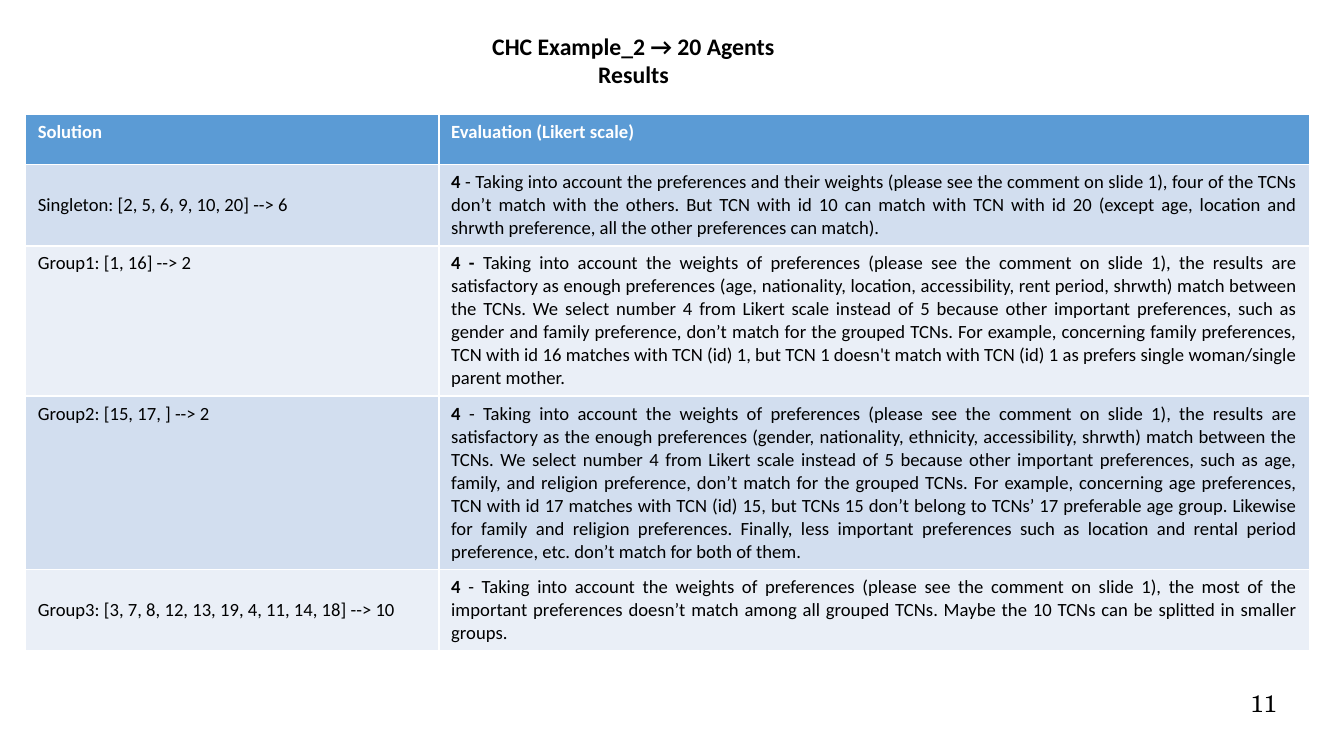
from dataclasses import dataclass

from pptx import Presentation
from pptx.dml.color import RGBColor
from pptx.enum import text as t
from pptx.util import Inches, Pt

TITLE = ["CHC Example_2 → 20 Agents", "Results"]
PAGE_NUMBER = "11"
HEADERS = ["Solution", "Evaluation (Likert scale)"]

# Solution, bold score, evaluation, row height, solution is centred vertically
RESULTS = [
    ("Singleton: [2, 5, 6, 9, 10, 20] --> 6", "4",
     " - Taking into account the preferences and their weights (please see the comment on slide 1), "
     "four of the TCNs don’t match with the others. But TCN with id 10 can match with TCN with id 20 "
     "(except age, location and shrwth preference, all the other preferences can match).",
     0.65, True),
    ("Group1: [1, 16] --> 2", "4 - ",
     "Taking into account the weights of preferences (please see the comment on slide 1), the results "
     "are satisfactory as enough preferences (age, nationality, location, accessibility, rent period, "
     "shrwth) match between the TCNs. We select number 4 from Likert scale instead of 5 because other "
     "important preferences, such as gender and family preference, don’t match for the grouped TCNs. "
     "For example, concerning family preferences, TCN with id 16 matches with TCN (id) 1, but TCN 1 "
     "doesn't match with TCN (id) 1 as prefers single woman/single parent mother.",
     1.2, False),
    ("Group2: [15, 17, ] --> 2", "4 ",
     "- Taking into account the weights of preferences (please see the comment on slide 1), the results "
     "are satisfactory as the enough preferences (gender, nationality, ethnicity, accessibility, shrwth) "
     "match between the TCNs. We select number 4 from Likert scale instead of 5 because other important "
     "preferences, such as age, family, and religion preference, don’t match for the grouped TCNs. "
     "For example, concerning age preferences, TCN with id 17 matches with TCN (id) 15, but TCNs 15 "
     "don’t belong to TCNs’ 17 preferable age group. Likewise for family and religion preferences. "
     "Finally, less important preferences such as location and rental period preference, etc. don’t "
     "match for both of them.",
     1.38, False),
    ("Group3: [3, 7, 8, 12, 13, 19, 4, 11, 14, 18] --> 10", "4",
     " - Taking into account the weights of preferences (please see the comment on slide 1), the most "
     "of the important preferences doesn’t match among all grouped TCNs. Maybe the 10 TCNs can be "
     "splitted in smaller groups.",
     0.65, True),
]

COLUMN_WIDTHS = [3.39, 7.14]
HEADER_HEIGHT = 0.41


@dataclass(frozen=True)
class Theme:
    font: str = "Calibri"
    number_font: str = "TeX Gyre Schola"
    heading_size: int = 14
    body_size: int = 11
    ink: str = "000000"
    header_ink: str = "FFFFFF"
    header_fill: str = "5B9BD5"
    bands: tuple = ("D2DEEF", "EAEFF7")


THEME = Theme()


def add_text(paragraph, words, font=THEME.font, size=THEME.body_size,
             color=THEME.ink, bold=False, align=t.PP_ALIGN.LEFT):
    paragraph.alignment = align
    run = paragraph.add_run()
    run.text = words
    run.font.name = font
    run.font.size = Pt(size)
    run.font.bold = bold
    run.font.color.rgb = RGBColor.from_string(color)


def fill_cell(cell, color):
    cell.fill.solid()
    cell.fill.fore_color.rgb = RGBColor.from_string(color)


def add_title(slide):
    title = slide.shapes.title
    title.left, title.top = Inches(3.46), Inches(0.21)
    title.width, title.height = Inches(3.47), Inches(0.58)
    frame = title.text_frame
    frame.word_wrap = True
    frame.auto_size = t.MSO_AUTO_SIZE.NONE
    frame.vertical_anchor = t.MSO_ANCHOR.TOP
    for index, line in enumerate(TITLE):
        paragraph = frame.add_paragraph() if index else frame.paragraphs[0]
        add_text(paragraph, line, size=THEME.heading_size, bold=True, align=t.PP_ALIGN.CENTER)


def add_results(slide):
    heights = [HEADER_HEIGHT] + [result[3] for result in RESULTS]
    table = slide.shapes.add_table(
        len(heights), len(COLUMN_WIDTHS), Inches(0.21), Inches(0.94),
        Inches(sum(COLUMN_WIDTHS)), Inches(sum(heights))).table
    for column, width in zip(table.columns, COLUMN_WIDTHS):
        column.width = Inches(width)
    for row, height in zip(table.rows, heights):
        row.height = Inches(height)

    for column, header in enumerate(HEADERS):
        cell = table.cell(0, column)
        fill_cell(cell, THEME.header_fill)
        add_text(cell.text_frame.paragraphs[0], header, color=THEME.header_ink, bold=True)

    for index, (solution, score, evaluation, _, centred) in enumerate(RESULTS):
        solution_cell, evaluation_cell = table.rows[index + 1].cells
        for cell in (solution_cell, evaluation_cell):
            fill_cell(cell, THEME.bands[index % 2])
        if centred:
            solution_cell.vertical_anchor = t.MSO_ANCHOR.MIDDLE
        add_text(solution_cell.text_frame.paragraphs[0], solution)
        paragraph = evaluation_cell.text_frame.paragraphs[0]
        add_text(paragraph, score, bold=True, align=t.PP_ALIGN.JUSTIFY)
        add_text(paragraph, evaluation, align=t.PP_ALIGN.JUSTIFY)


def add_page_number(slide):
    box = slide.shapes.add_textbox(Inches(7.9), Inches(5.65), Inches(2.57), Inches(0.43))
    frame = box.text_frame
    frame.word_wrap = True
    frame.margin_left = frame.margin_top = frame.margin_right = frame.margin_bottom = 0
    add_text(frame.paragraphs[0], PAGE_NUMBER, font=THEME.number_font,
             size=THEME.heading_size, align=t.PP_ALIGN.RIGHT)


def main():
    presentation = Presentation()
    presentation.slide_width, presentation.slide_height = Inches(11.02), Inches(6.2)
    slide = presentation.slides.add_slide(presentation.slide_layouts.get_by_name("Title Only"))
    add_title(slide)
    add_results(slide)
    add_page_number(slide)
    presentation.save("out.pptx")


if __name__ == "__main__":
    main()
